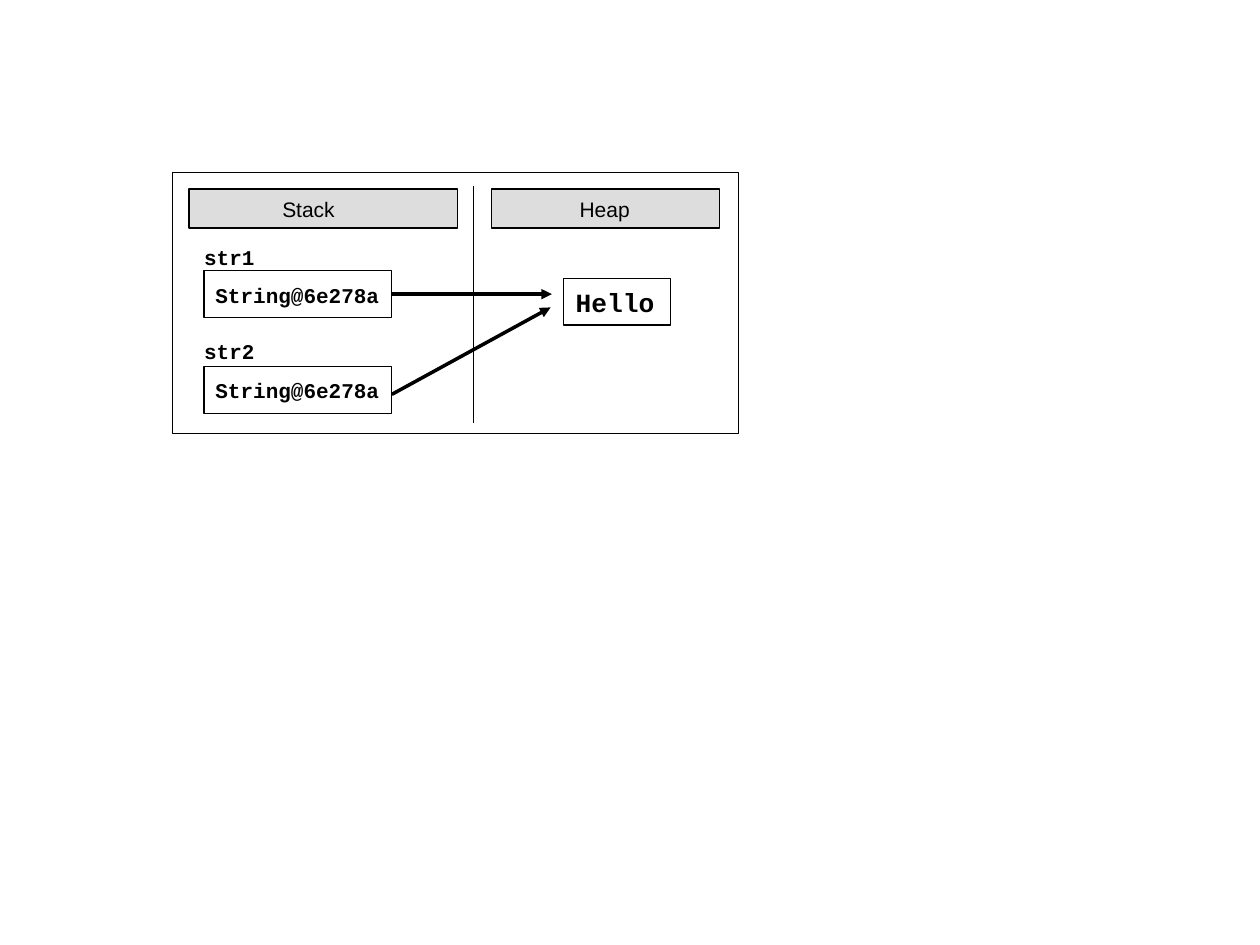
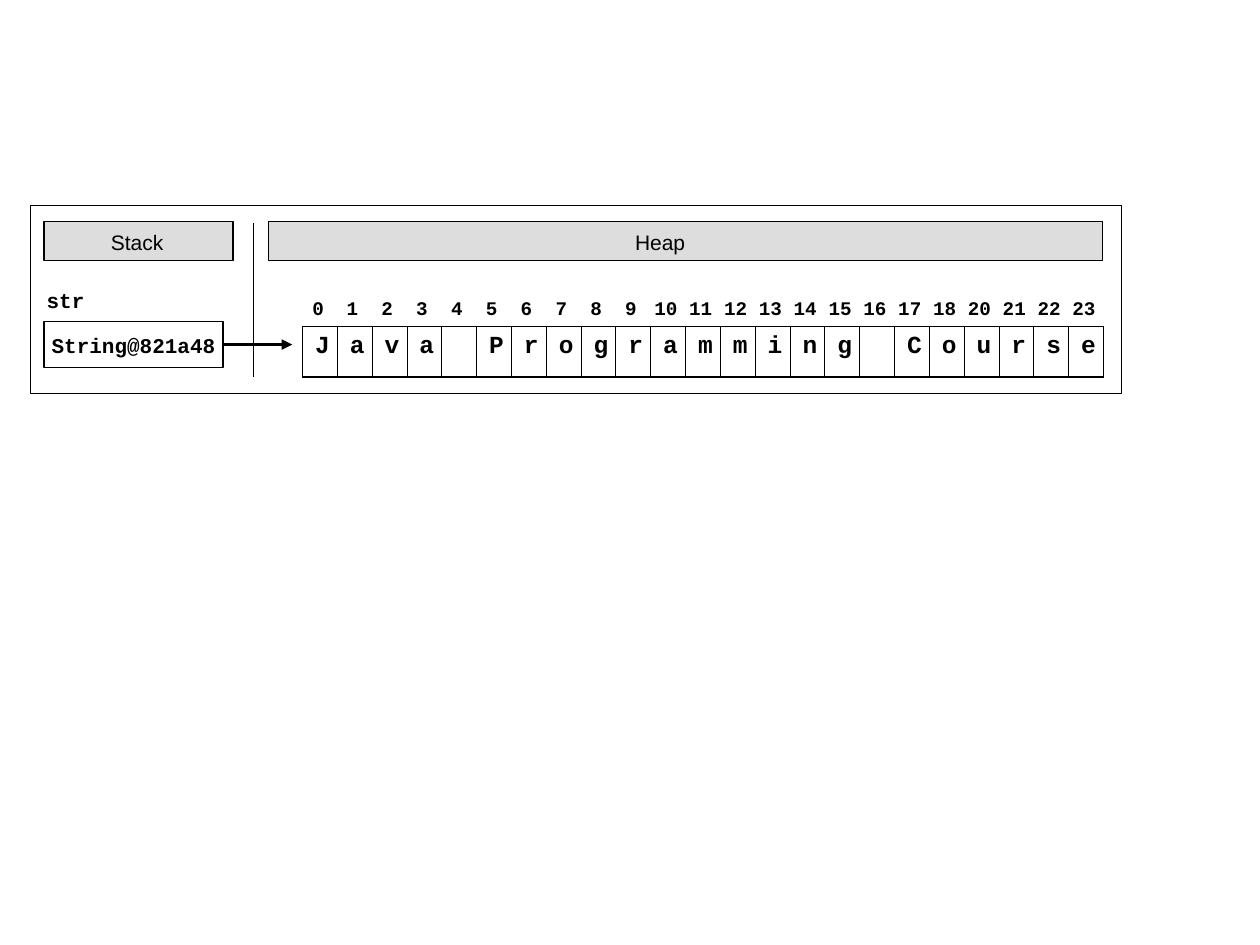
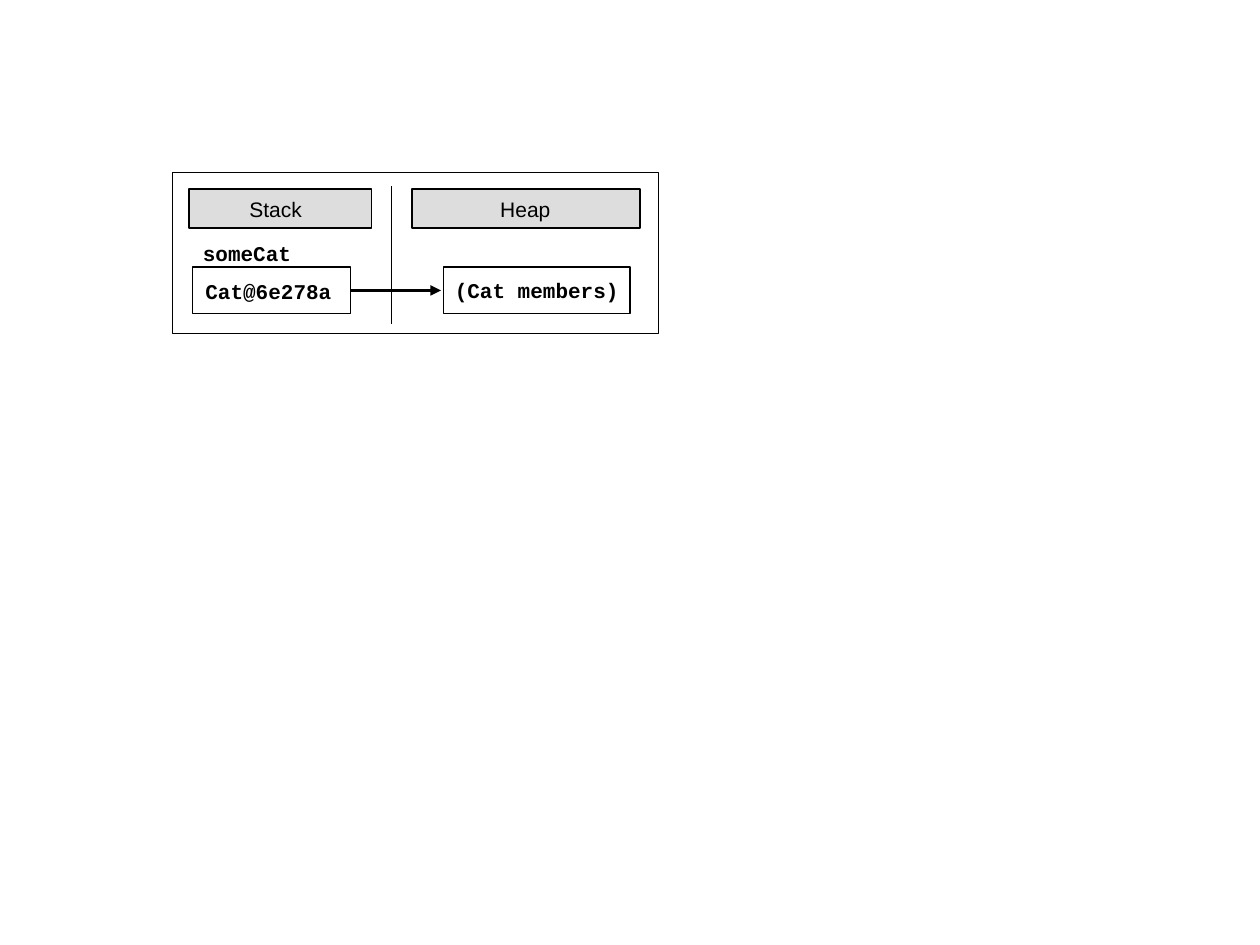
from lxml import etree
from pptx import Presentation
from pptx.dml.color import RGBColor
from pptx.enum import shapes, text
from pptx.oxml import ns
from pptx.util import Inches, Pt

BLACK = RGBColor(0, 0, 0)
GRAY = RGBColor(0xDD, 0xDD, 0xDD)
SANS, MONO = "Arial", "Courier New"
BAR, BOX = 0.31, 0.37  # heights of header bars and value boxes
WIDTHS = {"Stack": 0.42, "Heap": 0.4}

# frame: left, top, width, height; split: x, top, bottom
# bars: text, left, top, width, text left
# boxes: text, left, top, width, text left, text top
# names: text, left, top
# arrows: box number, start y (None: middle of the box), end x, end y
SLIDES = [
    dict(
        frame=(1.37, 1.37, 4.49, 2.07),
        split=(3.76, 1.48, 3.36),
        bars=[("Heap", 3.9, 1.5, 1.81, 4.6), ("Stack", 1.5, 1.5, 2.13, 2.24)],
        boxes=[("String@6e278a", 1.62, 2.15, 1.49, 1.71, 2.24),
               ("String@6e278a", 1.62, 2.91, 1.49, 1.71, 3)],
        names=[("str1", 1.62, 1.94), ("str2", 1.62, 2.69)],
        arrows=[(1, 3.13, 4.37, 2.44), (0, None, 4.38, None)],
    ),
    dict(
        frame=(0.24, 1.63, 8.66, 1.49),
        split=(2.01, 1.77, 2.99),
        bars=[("Heap", 2.13, 1.76, 6.62, 5.04),
              ("Stack", 0.35, 1.76, 1.5, 0.88)],
        boxes=[("String@821a48", 0.35, 2.55, 1.42, 0.41, 2.64)],
        names=[("str", 0.37, 2.28)],
        arrows=[(0, None, 2.32, None)],
    ),
    dict(
        frame=(1.37, 1.37, 3.86, 1.28),
        split=(3.11, 1.48, 2.57),
        bars=[("Heap", 3.27, 1.5, 1.81, 3.97), ("Stack", 1.5, 1.5, 1.45, 1.98)],
        boxes=[("Cat@6e278a", 1.53, 2.12, 1.25, 1.63, 2.21),
               ("(Cat members)", 3.52, 2.12, 1.48, 3.61, 2.2)],
        names=[("someCat", 1.61, 1.91)],
        arrows=[(0, None, 3.5, None)],
    ),
]
HELLO = ("Hello", 4.47, 2.21, 0.85)
CHARS = "Java Programming Course"
INDEX = [*range(19), *range(20, 24)]
CELLS = (2.4, 2.59, 6.36, 0.4)
PITCH = CELLS[2] / len(CHARS)


def style(para, font, size):
    for run in para.runs:
        run.font.name = font
        run.font.size = Pt(size)
        run.font.bold = font == MONO
        run.font.color.rgb = BLACK


def rect(slide, left, top, width, height, fill=None, weight=0.75):
    box = slide.shapes.add_shape(
        shapes.MSO_SHAPE.RECTANGLE, *map(Inches, (left, top, width, height)))
    box.shadow.inherit = False
    if fill is None:
        box.fill.background()
    else:
        box.fill.solid()
        box.fill.fore_color.rgb = fill
    box.line.color.rgb = BLACK
    box.line.width = Pt(weight)
    return box


def label(slide, words, left, top, width, font=MONO, size=12, wrap=False):
    box = slide.shapes.add_textbox(*map(Inches, (left, top, width, 0.2)))
    frame = box.text_frame
    frame.margin_left = frame.margin_right = 0
    frame.margin_top = frame.margin_bottom = 0
    frame.word_wrap = wrap
    frame.text = words
    style(frame.paragraphs[0], font, size)
    return frame.paragraphs[0]


def line(slide, start, end, weight=0.75, head=False):
    link = slide.shapes.add_connector(
        shapes.MSO_CONNECTOR.STRAIGHT, *map(Inches, start + end))
    link.line.color.rgb = BLACK
    link.line.width = Pt(weight)
    if head:
        etree.SubElement(link.line._get_or_add_ln(), ns.qn("a:tailEnd"),
                         type="triangle")
    etree.SubElement(link._element.spPr, ns.qn("a:effectLst"))
    return link


def edge(cell, sides):
    """Draw the cell's borders; sides gives widths for L, R, T and B."""
    props = cell._tc.get_or_add_tcPr()
    for place, (side, weight) in enumerate(zip("LRTB", sides)):
        border = etree.Element(ns.qn("a:ln" + side), w=str(Pt(weight)))
        fill = etree.SubElement(border, ns.qn("a:solidFill"))
        etree.SubElement(fill, ns.qn("a:srgbClr"), val=str(BLACK))
        props.insert(place, border)


def memory(slide, frame, split, bars, boxes, names, arrows):
    """Draw the stack and heap panel with its variables."""
    x, top, bottom = split
    line(slide, (x, top), (x, bottom))
    rect(slide, *frame, weight=0.5)
    for words, left, top, width, inner in bars:
        rect(slide, left, top, width, BAR, GRAY)
        label(slide, words, inner, top + 0.06, WIDTHS[words], SANS)
    drawn = []
    for words, left, top, width, inner, base in boxes:
        drawn.append(rect(slide, left, top, width, BOX))
        label(slide, words, inner, base, 0.1 * len(words))
    for words, left, top in names:
        label(slide, words, left, top, 0.1 * len(words))
    for number, y, tip, low in arrows:
        _, left, top, width, *_ = boxes[number]
        mid = top + BOX / 2
        link = line(slide, (left + width, y or mid), (tip, low or mid), 2, True)
        if y is None:
            link.begin_connect(drawn[number], 3)


def hello(slide):
    words, left, top, width = HELLO
    frame = rect(slide, left, top, width, BOX).text_frame
    frame.vertical_anchor = text.MSO_ANCHOR.MIDDLE
    frame.text = words
    frame.paragraphs[0].alignment = text.PP_ALIGN.LEFT
    style(frame.paragraphs[0], MONO, 15)


def letters(slide):
    """Draw the string's characters in a row of cells."""
    table = slide.shapes.add_table(
        1, len(CHARS), *map(Inches, CELLS)).table
    table.first_row = table.horz_banding = False
    last = len(CHARS) - 1
    for i, char in enumerate(CHARS):
        table.columns[i].width = Inches(PITCH)
        cell = table.cell(0, i)
        cell.fill.background()
        edge(cell, (0.45 if i else 1.08, 1.08 if i == last else 0.45,
                    1.08, 1.08))
        cell.text_frame.text = char.strip()
        para = cell.text_frame.paragraphs[0]
        para.line_spacing = 0.95
        style(para, MONO, 14)


def numbers(slide):
    """Write the indexes, each on a centred tab stop above its cell."""
    para = label(slide, "\t".join(map(str, INDEX)), 2.48, 2.35, 6.3,
                 size=11, wrap=True)
    stops = etree.SubElement(para._p.get_or_add_pPr(), ns.qn("a:tabLst"))
    for i in range(1, len(INDEX)):
        etree.SubElement(stops, ns.qn("a:tab"), algn="ctr",
                         pos=str(Inches(0.04 + i * PITCH)))


def main():
    deck = Presentation()
    deck.slide_width, deck.slide_height = Inches(10), Inches(7.5)
    pages = []
    for parts in SLIDES:
        slide = deck.slides.add_slide(deck.slide_layouts[6])
        memory(slide, **parts)
        pages.append(slide)
    hello(pages[0])
    letters(pages[1])
    numbers(pages[1])
    deck.save("out.pptx")


if __name__ == "__main__":
    main()
